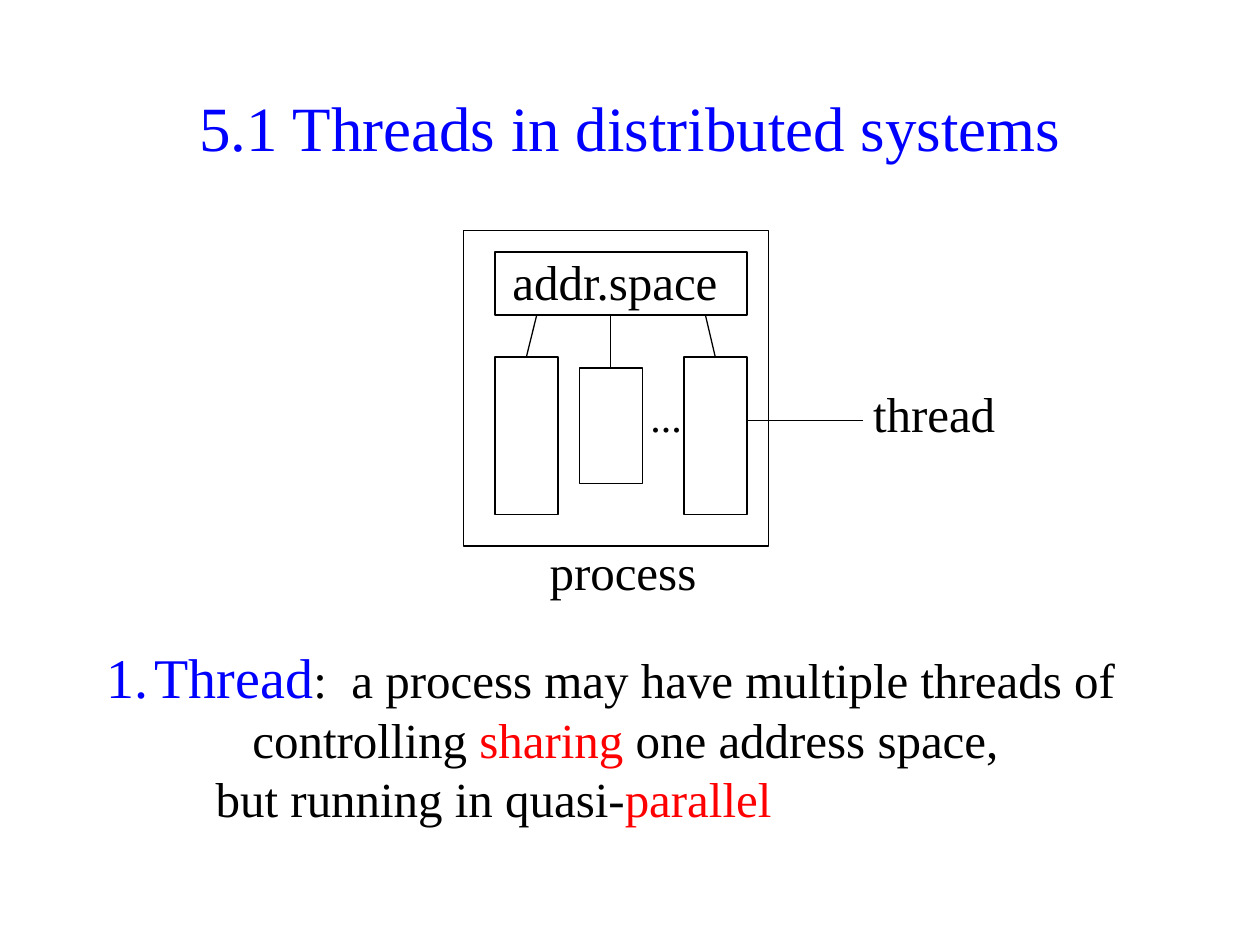
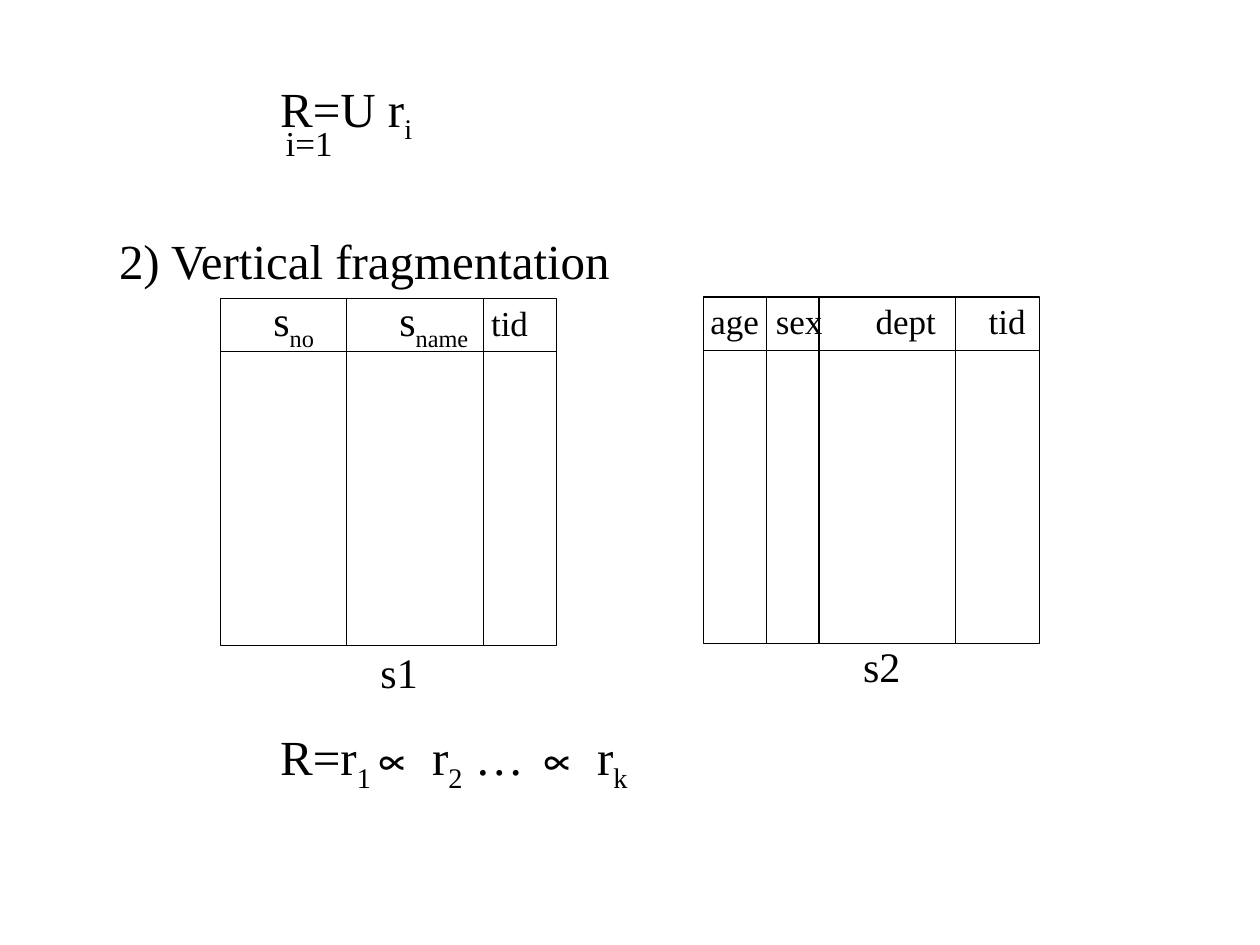
"""Build two slides on threads and on vertical fragmentation."""
import pptx
import pptx.dml.color
import pptx.enum.shapes
import pptx.enum.text
import pptx.oxml.ns
import pptx.util
import lxml.etree

Cm = pptx.util.Cm
Pt = pptx.util.Pt
SERIF = "Times New Roman"
BLACK, BLUE, RED = "000000", "0000FF", "FF0000"
THIN = Pt(0.75)
SUB = {"sub": True}
HOT = {"color": RED}
SIGN = {"face": "Arial"}


def paint(text):
    """Turn a hex string into a colour."""
    return pptx.dml.color.RGBColor.from_string(text)


def write(par, runs, size, color=BLACK):
    """Fill a paragraph with runs, each plain text or a pair of text and style."""
    par.font.name, par.font.size = SERIF, Pt(size)
    par.font.color.rgb = paint(color)
    for item in [runs] if isinstance(runs, str) else runs:
        text, style = (item, {}) if isinstance(item, str) else item
        run = par.add_run()
        run.text = text
        if "color" in style:
            run.font.color.rgb = paint(style["color"])
        if "size" in style:
            run.font.size = Pt(style["size"])
        if "face" in style:
            run.font.name = style["face"]
        if "sub" in style:
            run._r.get_or_add_rPr().set("baseline", "-25000")


def label(slide, x, y, wide, high, runs, size, color=BLACK):
    """Add a text box with one paragraph and return its frame."""
    frame = slide.shapes.add_textbox(Cm(x), Cm(y), Cm(wide), Cm(high)).text_frame
    frame.word_wrap = True
    write(frame.paragraphs[0], runs, size, color)
    return frame


def frame_box(slide, x, y, wide, high):
    """Add an unfilled rectangle with a thin outline."""
    kind = pptx.enum.shapes.MSO_SHAPE.RECTANGLE
    box = slide.shapes.add_shape(kind, Cm(x), Cm(y), Cm(wide), Cm(high))
    box.shadow.inherit = False
    box.fill.background()
    box.line.color.rgb = paint(BLACK)
    box.line.width = THIN


def link(slide, x, y, to_x, to_y):
    """Add a thin straight line."""
    kind = pptx.enum.shapes.MSO_CONNECTOR.STRAIGHT
    line = slide.shapes.add_connector(kind, Cm(x), Cm(y), Cm(to_x), Cm(to_y))
    line.line.color.rgb = paint(BLACK)
    line.line.width = THIN
    props = line._element.spPr
    lxml.etree.SubElement(props, pptx.oxml.ns.qn("a:effectLst"))


def title(slide, text):
    """Add the centred blue title."""
    frame = label(slide, 1.9, 1.7, 21.6, 1.7, text, 36, BLUE)
    frame.vertical_anchor = pptx.enum.text.MSO_ANCHOR.MIDDLE
    frame.paragraphs[0].alignment = pptx.enum.text.PP_ALIGN.CENTER


def process(slide, x, y):
    """Draw a process whose threads share one address space."""
    frame_box(slide, x, y, 6.15, 6.36)
    frame_box(slide, x + 0.63, y + 0.43, 5.08, 1.27)
    for left, top, high, start in (
        (0.63, 2.55, 3.18, 1.47),
        (2.33, 2.77, 2.33, 2.96),
        (4.44, 2.55, 3.18, 4.87),
    ):
        frame_box(slide, x + left, y + top, 1.27, high)
        link(slide, x + start, y + 1.7, x + left + 0.63, y + top)
    link(slide, x + 5.71, y + 3.82, x + 8.05, y + 3.82)
    for text, left, top, wide, size in (
        ("addr.space", 0.73, 0.29, 5.18, 28),
        ("...", 3.51, 3.1, 1.3, 24),
        ("thread", 8, 2.95, 3.2, 28),
        ("process", 1.48, 6.15, 3.7, 28),
    ):
        label(slide, x + left, y + top, wide, 1.45, text, size)


def meaning(slide, x, y):
    """Explain the thread in three indented lines."""
    lines = (
        (0.97, -0.97, [("1.\tThread", {"color": BLUE, "size": 32}),
                       ":  a process may have multiple threads of"]),
        (2.94, 0, ["controlling ", ("sharing", HOT), " one address space,"]),
        (2.2, 0, ["but running in quasi-", ("parallel", HOT)]),
    )
    frame = slide.shapes.add_textbox(Cm(x), Cm(y), Cm(21.6), Cm(3.9)).text_frame
    frame.word_wrap = True
    for row, (left, first, runs) in enumerate(lines):
        par = frame.add_paragraph() if row else frame.paragraphs[0]
        par.space_before = Pt(0)
        write(par, runs, 28)
        props = par._p.get_or_add_pPr()
        props.set("marL", str(Cm(left)))
        props.set("indent", str(Cm(first)))


def stop(par, places):
    """Set left tab stops on a paragraph."""
    tabs = lxml.etree.Element(pptx.oxml.ns.qn("a:tabLst"))
    for place in places:
        lxml.etree.SubElement(
            tabs, pptx.oxml.ns.qn("a:tab"), pos=str(Cm(place)), algn="l")
    par._p.get_or_add_pPr().insert(0, tabs)


def fragment(slide, x, y, cuts, head, name):
    """Draw a named fragment: outline, column rules, headings and caption."""
    wide, high, rule = 6.77, 6.99, 1.07
    frame_box(slide, x, y, wide, high)
    link(slide, x, y + rule, x + wide, y + rule)
    for cut in cuts:
        link(slide, x + cut, y, x + cut, y + high)
    left, top, runs, size, places = head
    frame = label(slide, x + left, y + top, 7.2, 1.3, runs, size)
    stop(frame.paragraphs[0], places)
    text, drop = name
    label(slide, x + 2.97, y + drop, 1.4, 1.27, text, 24)


def threads(slide):
    """Lay out the slide on threads."""
    title(slide, "5.1 Threads in distributed systems")
    process(slide, 9.35, 4.65)
    meaning(slide, 1.9, 12.82)


def split(slide):
    """Lay out the slide on vertical fragmentation."""
    label(slide, 5.4, 1.45, 6, 1.5, ["R=U r", ("i", SUB)], 28)
    label(slide, 5.51, 2.33, 1.6, 1.12, "i=1", 20)
    label(slide, 2.15, 4.52, 14, 1.5, "2) Vertical fragmentation", 28)
    fragment(
        slide, 4.45, 6.02, (2.54, 5.29),
        (0.81, -0.2, ["s", ("no", SUB), "\ts", ("name", SUB),
                      ("\ttid", {"size": 20})], 24, (2.54, 4.39)),
        ("s1", 6.88))
    fragment(
        slide, 14.18, 5.99, (1.27, 2.33, 5.08),
        (-0.11, -0.07, "age\tsex\tdept\ttid", 20, (1.32, 3.33, 5.61)),
        ("s2", 6.79))
    label(slide, 5.4, 14.53, 12, 1.5, [
        "R=r", ("1", SUB), ("∝", SIGN), " r", ("2", SUB),
        " … ", ("∝", SIGN), " r", ("k", SUB)], 28)


def main():
    """Build and save the slides."""
    deck = pptx.Presentation()
    deck.slide_width, deck.slide_height = Cm(25.4), Cm(19.05)
    for build in (threads, split):
        build(deck.slides.add_slide(deck.slide_layouts[6]))
    deck.save("out.pptx")


if __name__ == "__main__":
    main()
